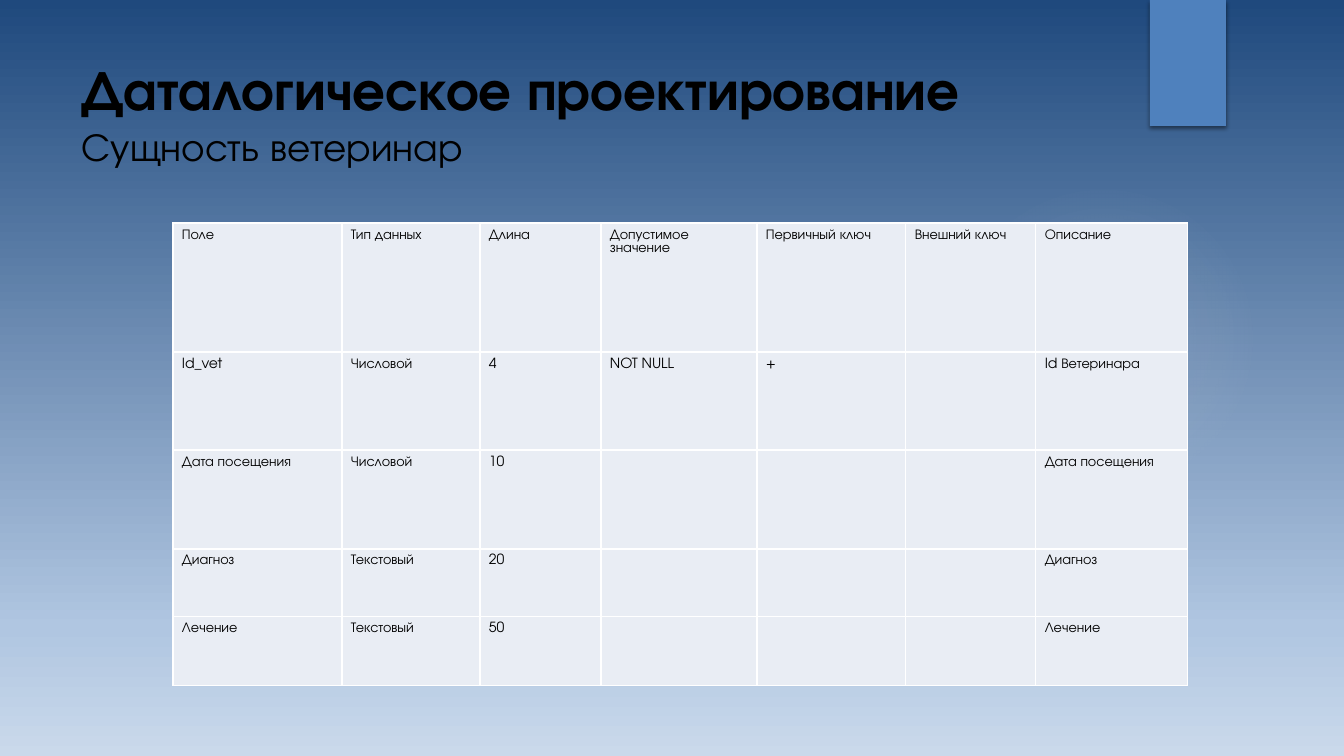
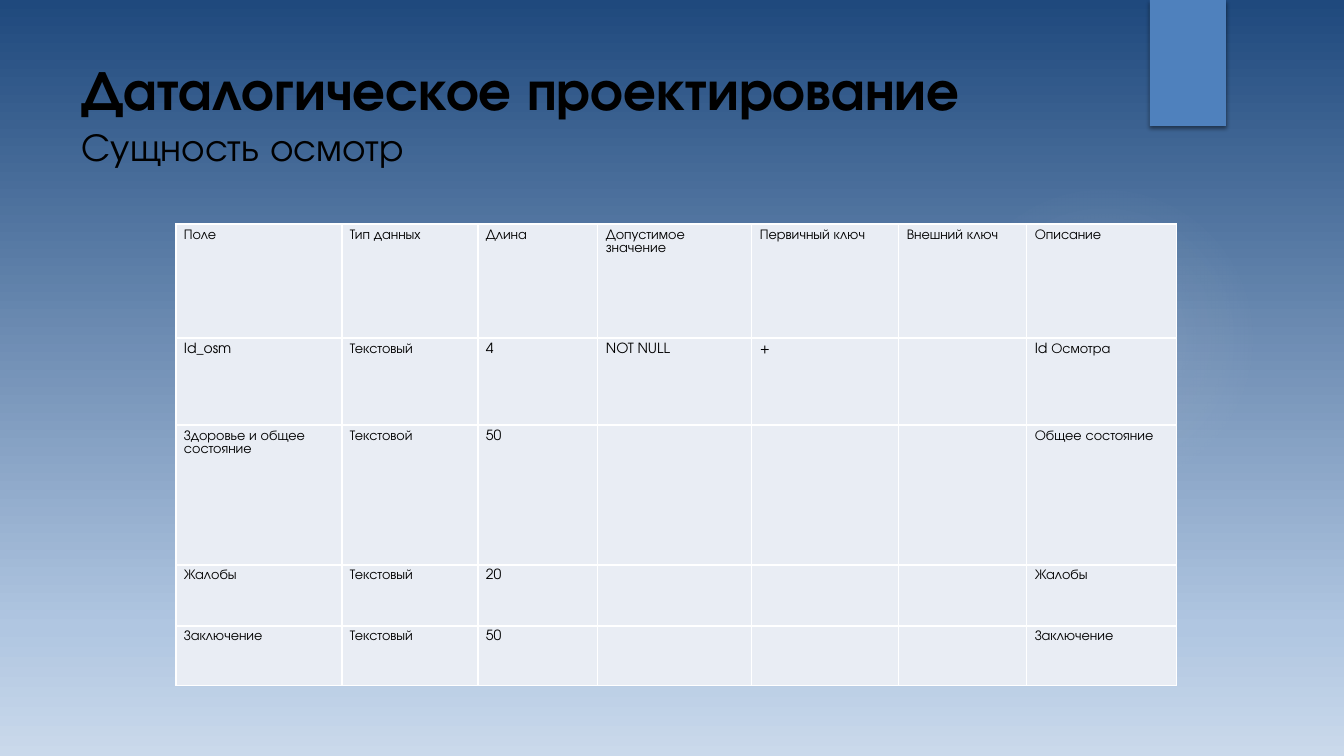
import pptx
import pptx.dml.color
import pptx.enum.shapes
import pptx.enum.text
import pptx.oxml
import pptx.oxml.ns
import pptx.util
from dataclasses import dataclass

HEADING = "Даталогическое проектирование"
COLUMNS = ["Поле", "Тип данных", "Длина", "Допустимое значение",
           "Первичный ключ", "Внешний ключ", "Описание"]

ENTITIES = [
    {
        "subtitle": "Сущность ветеринар",
        "origin": (173, 223),
        "widths": [169, 138, 121, 156, 149, 130, 152],
        "heights": [129, 98, 99, 68, 69],
        "insets": (9, 5),
        "fields": [
            ["Id_vet", "Числовой", "4", "NOT NULL", "+", "", "Id Ветеринара"],
            ["Дата посещения", "Числовой", "10", "", "", "", "Дата посещения"],
            ["Диагноз", "Текстовый", "20", "", "", "", "Диагноз"],
            ["Лечение", "Текстовый", "50", "", "", "", "Лечение"],
        ],
    },
    {
        "subtitle": "Сущность осмотр",
        "origin": (176, 224),
        "widths": [166, 136, 120, 154, 147, 128, 150],
        "heights": [114, 87, 140, 61, 60],
        "insets": (8, 4),
        "fields": [
            ["Id_osm", "Текстовый", "4", "NOT NULL", "+", "", "Id Осмотра"],
            ["Здоровье и общее состояние", "Текстовой", "50", "", "", "", "Общее состояние"],
            ["Жалобы", "Текстовый", "20", "", "", "", "Жалобы"],
            ["Заключение", "Текстовый", "50", "", "", "", "Заключение"],
        ],
    },
]

SLIDE_SIZE = (1344, 756)
GLOW_BOX = (949, 184, 310, 310)
TAB_BOX = (1150, 0, 76, 126)
TITLE_BOX = (72, 50, 1037, 154)


@dataclass(frozen=True)
class Theme:
    font: str = "TeX Gyre Adventor"
    text: str = "000000"
    tab: str = "4F81BD"
    cell: str = "E9EDF4"
    border: str = "FFFFFF"
    heading_size: int = 40
    subtitle_size: int = 28
    cell_size: int = 10
    title_leading: float = 1.2
    cell_leading: float = 1.07
    # Gradient stops: position %, colour, opacity %
    sky: tuple = ((0, "1F497D", 100), (83, "B0C6E1", 100), (100, "CAD9EB", 100))
    glow: tuple = ((0, "F5F4ED", 7), (36, "F5F4ED", 6), (69, "F5F4ED", 0))


THEME = Theme()
DOWNWARD = '<a:lin {ns} ang="5400000" scaled="0"/>'
RADIAL = ('<a:path {ns} path="circle">'
          '<a:fillToRect l="50000" t="50000" r="50000" b="50000"/></a:path>')


def px(value):
    return pptx.util.Emu(round(value * 914400 / 100.8))


def rgb(code):
    return pptx.dml.color.RGBColor.from_string(code)


def xml(markup):
    return pptx.oxml.parse_xml(markup.replace("{ns}", pptx.oxml.ns.nsdecls("a")))


def set_gradient(fill, owner, stops, direction):
    fill.gradient()
    gradient = owner.find(".//" + pptx.oxml.ns.qn("a:gradFill"))
    for child in list(gradient):
        gradient.remove(child)
    marks = "".join(
        f'<a:gs pos="{pos * 1000}"><a:srgbClr val="{color}">'
        f'<a:alpha val="{opacity * 1000}"/></a:srgbClr></a:gs>'
        for pos, color, opacity in stops)
    gradient.append(xml("<a:gsLst {ns}>" + marks + "</a:gsLst>"))
    gradient.append(xml(direction))


def add_plain_shape(slide, kind, box):
    shape = slide.shapes.add_shape(kind, *map(px, box))
    shape.shadow.inherit = False
    shape.line.fill.background()
    return shape


def add_run(paragraph, text, size, bold=False):
    run = paragraph.add_run()
    run.text = text
    run.font.name = THEME.font
    run.font.size = pptx.util.Pt(size)
    run.font.bold = bold
    run.font.color.rgb = rgb(THEME.text)


def add_backdrop(slide):
    set_gradient(slide.background.fill, slide.element, THEME.sky, DOWNWARD)
    shapes = pptx.enum.shapes.MSO_SHAPE
    glow = add_plain_shape(slide, shapes.OVAL, GLOW_BOX)
    set_gradient(glow.fill, glow.element, THEME.glow, RADIAL)
    tab = add_plain_shape(slide, shapes.RECTANGLE, TAB_BOX)
    tab.fill.solid()
    tab.fill.fore_color.rgb = rgb(THEME.tab)
    effects = tab.element.find(".//" + pptx.oxml.ns.qn("a:effectLst"))
    effects.append(xml(
        '<a:outerShdw {ns} blurRad="38100" dist="25400" dir="5400000" rotWithShape="0">'
        '<a:srgbClr val="000000"><a:alpha val="45000"/></a:srgbClr></a:outerShdw>'))


def add_title(slide, subtitle):
    frame = slide.shapes.add_textbox(*map(px, TITLE_BOX)).text_frame
    frame.word_wrap = True
    frame.vertical_anchor = pptx.enum.text.MSO_ANCHOR.TOP
    heading, second = frame.paragraphs[0], frame.add_paragraph()
    for paragraph, text, size, bold in (
            (heading, HEADING, THEME.heading_size, True),
            (second, subtitle, THEME.subtitle_size, False)):
        paragraph.line_spacing = pptx.util.Pt(size * THEME.title_leading)
        add_run(paragraph, text, size, bold)


def style_cell(cell, insets):
    across, down = map(px, insets)
    cell.margin_left = cell.margin_right = across
    cell.margin_top = cell.margin_bottom = down
    cell.fill.solid()
    cell.fill.fore_color.rgb = rgb(THEME.cell)
    properties = cell._tc.get_or_add_tcPr()
    for index, side in enumerate(("lnL", "lnR", "lnT", "lnB")):
        properties.insert(index, xml(
            f'<a:{side} {{ns}} w="12700"><a:solidFill>'
            f'<a:srgbClr val="{THEME.border}"/></a:solidFill></a:{side}>'))


def add_field_table(slide, entity):
    rows = [COLUMNS] + entity["fields"]
    widths, heights = entity["widths"], entity["heights"]
    box = (*entity["origin"], sum(widths), sum(heights))
    table = slide.shapes.add_table(len(rows), len(COLUMNS), *map(px, box)).table
    table.first_row = table.horz_banding = False
    for column, width in zip(table.columns, widths):
        column.width = px(width)
    for row, height, texts in zip(table.rows, heights, rows):
        row.height = px(height)
        for cell, text in zip(row.cells, texts):
            style_cell(cell, entity["insets"])
            if text:
                paragraph = cell.text_frame.paragraphs[0]
                paragraph.line_spacing = THEME.cell_leading
                add_run(paragraph, text, THEME.cell_size)


def main():
    deck = pptx.Presentation()
    deck.slide_width, deck.slide_height = map(px, SLIDE_SIZE)
    blank = deck.slide_layouts[6]
    for entity in ENTITIES:
        slide = deck.slides.add_slide(blank)
        add_backdrop(slide)
        add_title(slide, entity["subtitle"])
        add_field_table(slide, entity)
    deck.save("out.pptx")


if __name__ == "__main__":
    main()
